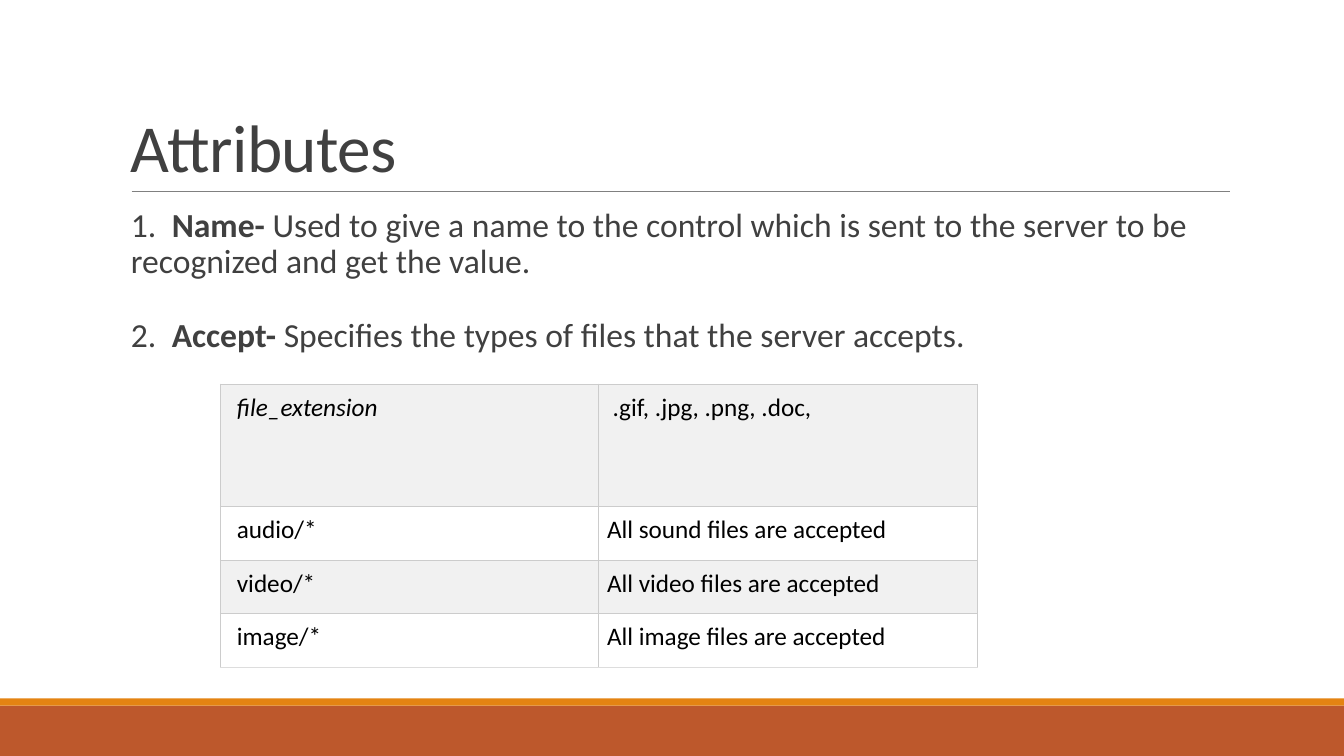
import pptx
import pptx.dml.color
import pptx.enum.shapes
import pptx.enum.text
import pptx.oxml
import pptx.oxml.ns
import pptx.util
from lxml import etree

Cm = pptx.util.Cm
Pt = pptx.util.Pt

# Content
TITLE = "Attributes"
ATTRIBUTES = [
    ("1.", "Name- ", "Used to give a name to the control which is sent to the "
                     "server to be recognized and get the value."),
    ("2.", "Accept- ", "Specifies the types of files that the server accepts."),
]
ACCEPT_VALUES = [
    ("file_extension", ".gif, .jpg, .png, .doc,"),
    ("audio/*", "All sound files are accepted"),
    ("video/*", "All video files are accepted"),
    ("image/*", "All image files are accepted"),
]
COLORS = {
    "footer": "BD582C",
    "stripe": "E48312",
    "rule": "808080",
    "text": "404040",
    "cell text": "000000",
    "shaded": "F1F1F1",
    "plain": "FFFFFF",
    "border": "CCCCCC",
    "last border": "DDDDDD",
}
FONT = "Calibri"
SLIDE_WIDTH, SLIDE_HEIGHT = 33.87, 19.05
BARS = [("footer", 17.78, 1.27), ("stripe", 17.6, 0.18)]  # colour, top, height
ROW_HEIGHTS = [3.08, 1.35, 1.35, 1.35]
COLUMN_WIDTH = 9.54
CELL_MARGIN = 0.21


def rgb(name):
    return pptx.dml.color.RGBColor.from_string(COLORS[name])


def format_run(run, size, color, bold=False, italic=False):
    font = run.font
    font.name, font.size = FONT, Pt(size)
    font.bold, font.italic = bold, italic
    font.color.rgb = rgb(color)


def add_text_frame(slide, left, top, width, height, anchor):
    frame = slide.shapes.add_textbox(Cm(left), Cm(top), Cm(width), Cm(height)).text_frame
    frame.word_wrap = True
    frame.vertical_anchor = anchor
    frame.margin_left = frame.margin_right = 0
    return frame


def set_borders(cell, is_last):
    for side in ("L", "R", "T", "B"):
        color = COLORS["last border" if is_last and side == "B" else "border"]
        cell._tc.get_or_add_tcPr().append(pptx.oxml.parse_xml(
            f'<a:ln{side} {pptx.oxml.ns.nsdecls("a")} w="{Pt(0.75)}">'
            f'<a:solidFill><a:srgbClr val="{color}"/></a:solidFill></a:ln{side}>'))


def add_bars_and_rule(slide):
    for color, top, height in BARS:
        bar = slide.shapes.add_shape(pptx.enum.shapes.MSO_SHAPE.RECTANGLE,
                                     0, Cm(top), Cm(SLIDE_WIDTH), Cm(height))
        bar.shadow.inherit = False
        bar.fill.solid()
        bar.fill.fore_color.rgb = rgb(color)
        bar.line.fill.background()
    rule = slide.shapes.add_connector(pptx.enum.shapes.MSO_CONNECTOR.STRAIGHT,
                                      Cm(3.32), Cm(4.82), Cm(31), Cm(4.82))
    rule.line.color.rgb = rgb("rule")
    rule.line.width = Pt(0.5)
    etree.SubElement(rule._element.spPr, pptx.oxml.ns.qn("a:effectLst"))


def add_title(slide):
    frame = add_text_frame(slide, 3.3, 0.79, 27.43, 4.04,
                           pptx.enum.text.MSO_ANCHOR.BOTTOM)
    frame.text = TITLE
    paragraph = frame.paragraphs[0]
    paragraph.line_spacing = 0.85
    run = paragraph.runs[0]
    format_run(run, 48, "text")
    run.font._element.set("spc", "-50")


def add_attributes(slide):
    frame = add_text_frame(slide, 3.3, 5.13, 27.18, 11.18,
                           pptx.enum.text.MSO_ANCHOR.TOP)
    for index, (number, name, description) in enumerate(ATTRIBUTES):
        paragraph = frame.add_paragraph() if index else frame.paragraphs[0]
        paragraph.line_spacing = 0.9
        if index:
            paragraph.space_before = Pt(26.4)
        tabs = etree.SubElement(paragraph._p.get_or_add_pPr(), pptx.oxml.ns.qn("a:tabLst"))
        etree.SubElement(tabs, pptx.oxml.ns.qn("a:tab"), pos=str(Cm(1.03)), algn="l")
        for text, bold in ((number + "\t", False), (name, True), (description, False)):
            run = paragraph.add_run()
            run.text = text
            format_run(run, 24, "text", bold=bold)


def add_accept_table(slide):
    row_count, column_count = len(ACCEPT_VALUES), len(ACCEPT_VALUES[0])
    table = slide.shapes.add_table(
        row_count, column_count, Cm(5.55), Cm(9.68),
        Cm(COLUMN_WIDTH * column_count), Cm(sum(ROW_HEIGHTS))).table
    for column in table.columns:
        column.width = Cm(COLUMN_WIDTH)
    for row_index, values in enumerate(ACCEPT_VALUES):
        table.rows[row_index].height = Cm(ROW_HEIGHTS[row_index])
        for column_index, value in enumerate(values):
            cell = table.cell(row_index, column_index)
            cell.text = value
            cell.margin_right = cell.margin_top = cell.margin_bottom = Cm(CELL_MARGIN)
            # The first column and the extension list are set in a little
            left_margin = 2 * CELL_MARGIN if column_index == 0 else CELL_MARGIN
            if (row_index, column_index) == (0, 1):
                left_margin += 0.14
            cell.margin_left = Cm(left_margin)
            set_borders(cell, row_index == row_count - 1)
            cell.fill.solid()
            cell.fill.fore_color.rgb = rgb("plain" if row_index % 2 else "shaded")
            format_run(cell.text_frame.paragraphs[0].runs[0], 18, "cell text",
                       italic=row_index == column_index == 0)


def main():
    presentation = pptx.Presentation()
    presentation.slide_width = Cm(SLIDE_WIDTH)
    presentation.slide_height = Cm(SLIDE_HEIGHT)
    slide = presentation.slides.add_slide(presentation.slide_layouts[6])
    add_bars_and_rule(slide)
    add_title(slide)
    add_attributes(slide)
    add_accept_table(slide)
    presentation.save("out.pptx")


if __name__ == "__main__":
    main()
